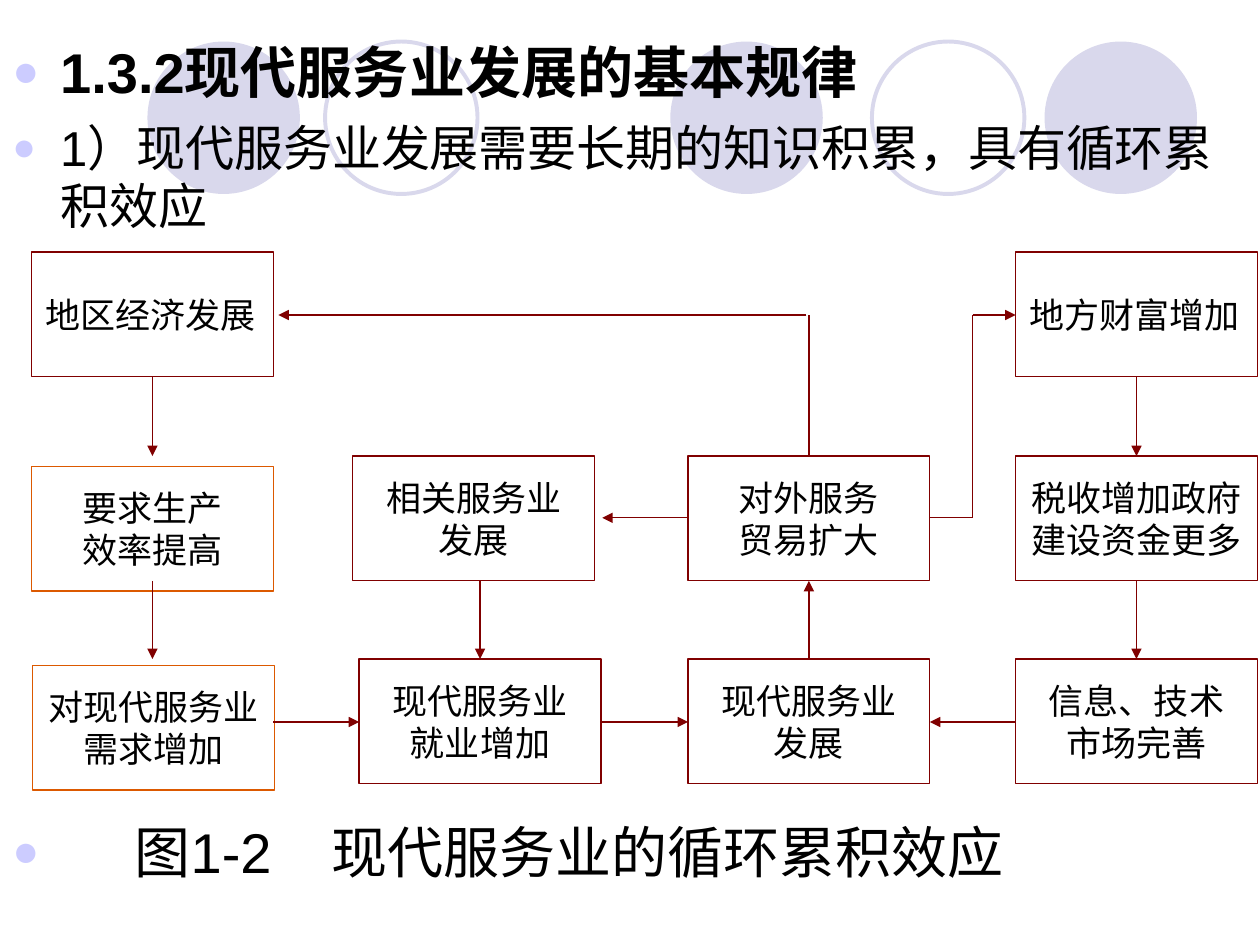
from lxml.etree import SubElement
from pptx import Presentation
from pptx.dml.color import RGBColor
from pptx.enum.shapes import MSO_CONNECTOR as Connector, MSO_SHAPE as Shape
from pptx.enum.text import MSO_ANCHOR as Anchor, PP_ALIGN as Align
from pptx.oxml.ns import qn
from pptx.util import Inches, Pt

COLORS = {"text": "000000", "flow": "800000", "demand": "DC5900",
          "circle": "D9D8EC", "bullet": "CCCCFF"}


class FlowSlide:
    """Draws the circles, bulleted text, boxes and arrows of one slide."""

    font = "Arial"
    box_width, box_height = 1.92, 0.99
    circle_size = 1.21

    def __init__(self, slide):
        self.shapes = slide.shapes

    def color(self, key):
        return RGBColor.from_string(COLORS[key])

    def style_font(self, paragraph, size, bold=False):
        font = paragraph.font
        font.name, font.size, font.bold = self.font, Pt(size), bold
        font.color.rgb = self.color("text")

    def outline(self, shape, key, width):
        shape.line.color.rgb = self.color(key)
        shape.line.width = Pt(width)

    def circle(self, left, top, filled):
        size = Inches(self.circle_size)
        circle = self.shapes.add_shape(Shape.OVAL, Inches(left), Inches(top), size, size)
        circle.shadow.inherit = False
        if filled:
            circle.fill.solid()
            circle.fill.fore_color.rgb = self.color("circle")
            circle.line.fill.background()
        else:
            circle.fill.background()
            self.outline(circle, "circle", 2.25)

    def bullet(self, paragraph, indent, tab=None):
        properties = paragraph._p.get_or_add_pPr()
        properties.set("marL", str(Inches(indent)))
        properties.set("indent", str(-Inches(indent)))
        bullet_color = SubElement(properties, qn("a:buClr"))
        SubElement(bullet_color, qn("a:srgbClr"), val=COLORS["bullet"])
        SubElement(properties, qn("a:buSzPct"), val="80000")
        SubElement(properties, qn("a:buFont"), typeface=self.font)
        SubElement(properties, qn("a:buChar"), char="●")
        if tab:
            tabs = SubElement(properties, qn("a:tabLst"))
            SubElement(tabs, qn("a:tab"), pos=str(Inches(tab)), algn="l")

    def bulleted_text(self, top, height, items, indent, tab=None):
        frame = self.shapes.add_textbox(0, Inches(top), Inches(10), Inches(height)).text_frame
        frame.word_wrap = True
        frame.text = "\n".join(text for text, _, _ in items)
        for index, (paragraph, (_, size, bold)) in enumerate(zip(frame.paragraphs, items)):
            self.bullet(paragraph, indent, tab)
            if index:
                paragraph.space_before = Pt(7)
            self.style_font(paragraph, size, bold)

    def box(self, left, top, text, line="flow", align=Align.CENTER):
        box = self.shapes.add_shape(Shape.RECTANGLE, Inches(left), Inches(top),
                                    Inches(self.box_width), Inches(self.box_height))
        box.shadow.inherit = False
        box.fill.background()
        self.outline(box, line, 0.75)
        frame = box.text_frame
        frame.word_wrap = True
        frame.vertical_anchor = Anchor.MIDDLE
        frame.margin_left = frame.margin_right = Inches(0.11)
        frame.margin_top = frame.margin_bottom = Inches(0.06)
        frame.text = text
        for paragraph in frame.paragraphs:
            paragraph.alignment = align
            self.style_font(paragraph, 20)

    def link(self, start, end, arrow=True):
        link = self.shapes.add_connector(Connector.STRAIGHT, *map(Inches, start + end))
        self.outline(link, "flow", 0.75)
        if arrow:
            SubElement(link.line._get_or_add_ln(), qn("a:tailEnd"), type="triangle")
        SubElement(link._element.spPr, qn("a:effectLst"))


def main():
    deck = Presentation()
    deck.slide_width, deck.slide_height = Inches(10), Inches(7.5)
    page = FlowSlide(deck.slides.add_slide(deck.slide_layouts[6]))

    for left, filled in ((5.32, True), (8.29, True), (1.17, True), (6.92, False), (2.58, False)):
        page.circle(left, 0.33, filled)

    page.bulleted_text(0.25, 1.7, [
        ("1.3.2现代服务业发展的基本规律", 32, True),
        ("1）现代服务业发展需要长期的知识积累，具有循环累积效应", 28, False)], 0.38)
    page.bulleted_text(6.44, 0.7, [("图1-2\t现代服务业的循环累积效应", 32, False)], 0.97, 2.53)

    region, jobs, trade, wealth = 0.25, 2.85, 5.46, 8.06
    top_row, middle_row, bottom_row = 2, 3.62, 5.23
    page.box(region, 3.7, "要求生产\n效率提高", "demand")
    page.box(0.26, 5.28, "对现代服务业\n需求增加", "demand")
    page.box(2.8, middle_row, "相关服务业\n发展")
    page.box(trade, middle_row, "对外服务\n贸易扩大")
    page.box(wealth, middle_row, "税收增加政府\n建设资金更多")
    page.box(jobs, bottom_row, "现代服务业\n就业增加")
    page.box(trade, bottom_row, "现代服务业\n发展")
    page.box(wealth, bottom_row, "信息、技术\n市场完善")
    page.box(region, top_row, "地区经济发展", align=Align.JUSTIFY)
    page.box(wealth, top_row, "地方财富增加", align=Align.JUSTIFY)

    region_x, jobs_x, trade_x, wealth_x = (
        left + page.box_width / 2 for left in (region, jobs, trade, wealth))
    top_y, middle_y, bottom_y = 2.5, 4.11, 5.73
    upper_gap = top_row + page.box_height, middle_row
    lower_gap = middle_row + page.box_height, bottom_row
    for x, (start, end) in ((region_x, upper_gap), (region_x, lower_gap), (jobs_x, lower_gap),
                            (wealth_x, upper_gap), (wealth_x, lower_gap),
                            (trade_x, lower_gap[::-1])):
        page.link((x, start), (x, end))

    trade_right, bend = trade + page.box_width, 7.72
    for start, end, y in ((2.17, jobs, bottom_y), (4.78, trade, bottom_y),
                          (wealth, trade_right, bottom_y), (trade, 4.78, middle_y),
                          (bend, wealth, top_y), (6.4, 2.21, top_y)):
        page.link((start, y), (end, y))

    page.link((bend, top_y), (bend, middle_y), arrow=False)
    page.link((trade_right, middle_y), (bend, middle_y), arrow=False)
    page.link((trade_x, middle_row), (trade_x, top_y), arrow=False)

    deck.save("out.pptx")


if __name__ == "__main__":
    main()
